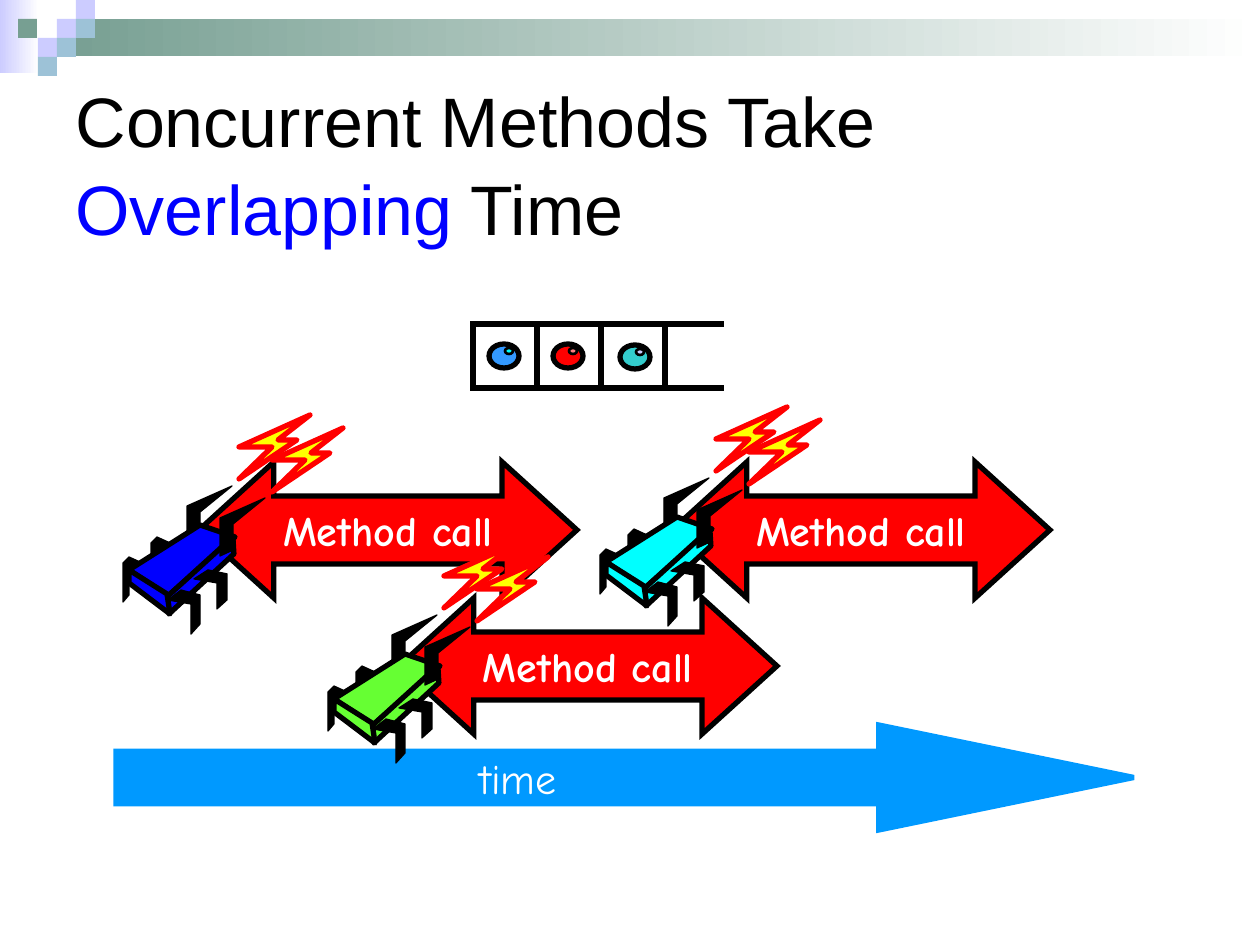
"""Build a slide on concurrent method calls that overlap in time."""
from pptx import Presentation, util as u
from pptx.dml.color import RGBColor
from pptx.enum import shapes as sh, text as tx
from pptx.oxml import parse_xml
from pptx.oxml.ns import nsdecls

PX = 914400 / 126
HEX = dict(black="000000", white="FFFFFF", blue="0000FF", red="FF0000",
           yellow="FFFF00", aqua="00FFFF", lime="66FF33", sky="0099FF",
           lilac="CCCCFF", sage="779F92", mist="9DC2D7", azure="3399FF",
           teal="33CCCC", pink="FF7C80")
BARS = [((0, 0, 39, 73), "lilac"), ((57, 19, 1203, 37), "sage")]
TILES = [(57, 19, "lilac"), (76, 0, "lilac"), (76, 19, "mist"),
         (38, 38, "lilac"), (18, 19, "sage"), (57, 38, "mist"),
         (38, 57, "mist")]
TILE = 19
TITLE = [("Concurrent Methods Take ", "black"), ("Overlapping", "blue"),
         (" Time", "black")]
CALLS = [(199, 462), (672, 462), (399, 598)]
QUEUE = (473, 324)
CELL = 64
BEADS = [(489, 344, "azure", "aqua"), (553, 344, "red", "pink"),
         (620, 345, "teal", "lilac")]
BUGS = [(123, 415, "blue"), (600, 407, "aqua"), (328, 544, "lime")]
BOLT = [(0, 64), (33, 32), (0, 32), (71, 0), (39, 25), (58, 25)]
HORN = [(0, 58), (13, 52), (13, 26), (45, 0), (0, 20)]
LEG = [(19, 6), (6, 0), (0, 6), (0, 45), (6, 38), (6, 13), (19, 19)]
HIND = [(13, 0), (0, 10), (23, 14), (23, 44), (32, 34), (32, 5)]
MID = [(14, 0), (0, 9), (23, 13), (23, 39), (33, 30), (33, 4)]
BACK = [(77, 110), (6, 155), (45, 181), (112, 122)]
SIDE = [(110, 122), (45, 181), (46, 199), (111, 139)]
FRONT = [(6, 155), (6, 168), (47, 199), (44, 179)]
PARTS = [(BOLT, 116, 0, "bolt"), (HORN, 64, 71, "limb"),
         (LEG, 0, 142, "limb"), (LEG, 28, 122, "limb"),
         (BACK, 0, 0, "body"), (SIDE, 0, 0, "body"), (FRONT, 0, 0, "body"),
         (HIND, 45, 175, "limb"), (MID, 71, 155, "limb"),
         (HORN, 97, 83, "limb"), (BOLT, 149, 13, "bolt")]


def emu(*nums):
    return [u.Emu(round(n * PX)) for n in nums]


def rgb(name):
    return RGBColor.from_string(HEX[name])


def paint(shape, fill=None, line=None, width=3.0):
    shape.shadow.inherit = False
    if fill:
        shape.fill.solid()
        shape.fill.fore_color.rgb = rgb(fill)
    else:
        shape.fill.background()
    if line:
        shape.line.color.rgb = rgb(line)
        shape.line.width = u.Pt(width)
    else:
        shape.line.fill.background()
    return shape


def draw(kind, box, fill=None, line=None, width=3.0, adj=()):
    shape = paint(slide.shapes.add_shape(kind, *emu(*box)), fill, line, width)
    for i, val in enumerate(adj):
        shape.adjustments[i] = val
    if line:
        shape.line._get_or_add_ln().append(
            parse_xml(f'<a:miter {nsdecls("a")} lim="800000"/>'))
    return shape


def write(shape, runs, size=24, font="Comic Neue", bold=False, align="CENTER",
          wrap=False, anchor="MIDDLE"):
    frame = shape.text_frame
    frame.word_wrap = wrap
    frame.auto_size = tx.MSO_AUTO_SIZE.NONE
    frame.vertical_anchor = getattr(tx.MSO_ANCHOR, anchor)
    para = frame.paragraphs[0]
    para.alignment = getattr(tx.PP_ALIGN, align)
    for words, hue in runs:
        run = para.add_run()
        run.text = words
        run.font.size, run.font.name = u.Pt(size), font
        run.font.bold = bold
        run.font.color.rgb = rgb(hue)
    return frame


def rail(x, y, end):
    line = slide.shapes.add_connector(
        sh.MSO_CONNECTOR.STRAIGHT, *emu(x, y, end, y))
    line.line.color.rgb = rgb("black")
    line.line.width = u.Pt(3)
    line._element.spPr.append(parse_xml(f'<a:effectLst {nsdecls("a")}/>'))


def bug(x, y, hue):
    looks = dict(bolt=("yellow", "red", 3), limb=("black", "black", 0.75),
                 body=(hue, "black", 3))
    for dots, dx, dy, look in PARTS:
        pts = [(x + dx + a, y + dy + b) for a, b in dots]
        pen = slide.shapes.build_freeform(*pts[0], scale=PX)
        pen.add_line_segments(pts[1:], close=True)
        paint(pen.convert_to_shape(), *looks[look])


deck = Presentation()
deck.slide_width, deck.slide_height = emu(1260, 945)
slide = deck.slides.add_slide(deck.slide_layouts[5])
KIND = sh.MSO_SHAPE

for box, hue in BARS:
    bar = draw(KIND.RECTANGLE, box, hue)
    bar.fill.gradient()
    bar.fill.gradient_angle = 0
    for stop, name in zip(bar.fill.gradient_stops, (hue, "white")):
        stop.color.rgb = rgb(name)
for x, y, hue in TILES:
    draw(KIND.RECTANGLE, (x, y, TILE, TILE), hue)

title = slide.shapes.title
title.left, title.top, title.width, title.height = emu(63, 63, 1134, 189)
frame = write(title, TITLE, size=40, font="Arial", align="LEFT", wrap=True)
frame.margin_top = emu(14)[0]
frame.paragraphs[0].line_spacing = 1.05

draw(KIND.RIGHT_ARROW, (116, 725, 1018, 105), "sky", "sky", adj=(0.5, 2.43))
label = slide.shapes.add_textbox(*emu(467, 746, 102, 63))
write(label, [("time", "white")], align="RIGHT", anchor="TOP")

for x, y in CALLS:
    call = draw(KIND.LEFT_RIGHT_ARROW, (x, y, 378, 136), "red", "black",
                adj=(0.5, 0.55))
    write(call, [("Method call", "white")], bold=True)

left, top = QUEUE
for i, (x, y, hue, glint) in enumerate(BEADS):
    draw(KIND.RECTANGLE, (left + i * CELL, top, CELL, CELL), line="black")
    draw(KIND.OVAL, (x, y, 30, 24), hue, "black")
    draw(KIND.OVAL, (x + 16, y + 4, 8, 6), glint, "black", 1.5)
for y in (top, top + CELL):
    rail(660, y, 724)

for spot in BUGS:
    bug(*spot)

deck.save("out.pptx")
